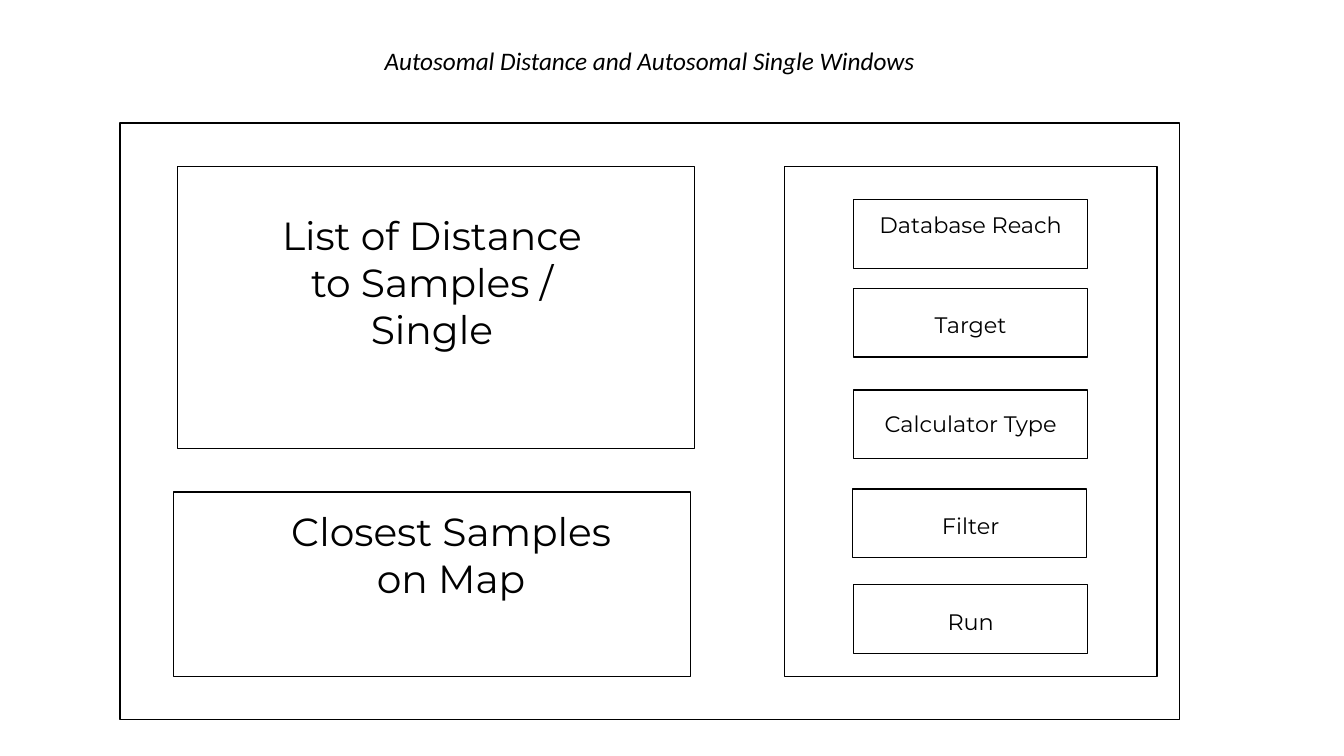
import pptx
import pptx.util
import pptx.dml.color
import pptx.enum.shapes
import pptx.enum.text

Pt = pptx.util.Pt
COLORS = {"paper": "FFFFFF", "ink": "000000"}


class Wireframe:
    def __init__(self, prs):
        self.slide = prs.slides.add_slide(prs.slide_layouts[6])
        self.font = {"name": "Montserrat", "size": Pt(16), "italic": False}
        self.frame = {"word_wrap": True,
                      "auto_size": pptx.enum.text.MSO_AUTO_SIZE.SHAPE_TO_FIT_TEXT,
                      "vertical_anchor": pptx.enum.text.MSO_ANCHOR.TOP}

    def color(self, name):
        return pptx.dml.color.RGBColor.from_string(COLORS[name])

    def box(self, *bounds):
        """Draw an outlined rectangle at left, top, width, height."""
        s = self.slide.shapes.add_shape(
            pptx.enum.shapes.MSO_SHAPE.RECTANGLE, *map(Pt, bounds))
        s.shadow.inherit = False
        s.fill.solid()
        s.fill.fore_color.rgb = self.color("paper")
        s.line.color.rgb = self.color("ink")
        s.line.width = Pt(1)

    def text(self, words, *bounds, **changes):
        """Add centred text; changes override the default font values."""
        tf = self.slide.shapes.add_textbox(*map(Pt, bounds)).text_frame
        for key, value in self.frame.items():
            setattr(tf, key, value)
        p = tf.paragraphs[0]
        p.alignment = pptx.enum.text.PP_ALIGN.CENTER
        r = p.add_run()
        r.text = words
        for key, value in {**self.font, **changes}.items():
            setattr(r.font, key, value)
        r.font.color.rgb = self.color("ink")


def main():
    prs = pptx.Presentation()
    prs.slide_width, prs.slide_height = Pt(960), Pt(540)
    w = Wireframe(prs)

    w.text("Autosomal Distance and Autosomal Single Windows",
           248.4, 28.8, 431.3, 28.8,
           name="Calibri", size=Pt(18), italic=True)

    w.box(85.7, 87.8, 756.7, 426.2)  # window
    w.box(560.2, 118.8, 266.4, 364.3)  # control panel

    controls = [  # label, button left, button top, label top
        ("Database Reach", 609.8, 142.6, 147.6),
        ("Target", 609.8, 205.9, 218.9),
        ("Calculator Type", 609.8, 278.6, 289.4),
        ("Filter", 609.1, 349.2, 362.2),
        ("Run", 609.8, 417.6, 430.6),
    ]
    for label, left, top, label_top in controls:
        w.box(left, top, 167, 49)
        w.text(label, 609.1, label_top, 168.5, 26.6)

    results = [  # label, panel bounds, label bounds
        ("List of Distance to Samples / Single",
         (126.7, 118.8, 369.4, 201.6), (184.3, 147.6, 248.4, 143.3)),
        ("Closest Samples on Map",
         (123.8, 351.4, 369.4, 131.8), (198, 358.6, 248.4, 108.7)),
    ]
    for label, panel, bounds in results:
        w.box(*panel)
        w.text(label, *bounds, size=Pt(28))

    prs.save("out.pptx")


if __name__ == "__main__":
    main()
